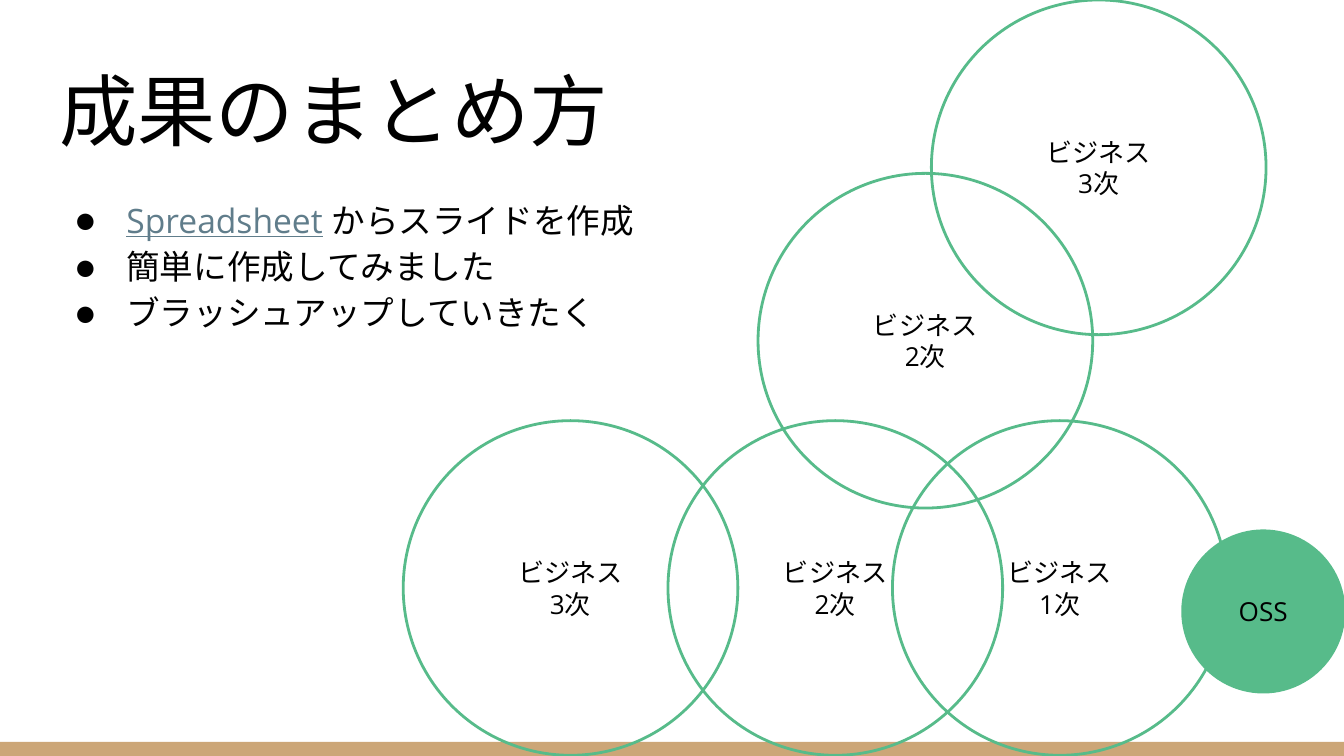
import copy
import dataclasses

import lxml.etree
import pptx
import pptx.dml.color
import pptx.enum.shapes
import pptx.enum.text
import pptx.oxml.ns
import pptx.util

Inches = pptx.util.Inches
Pt = pptx.util.Pt
Shape = pptx.enum.shapes.MSO_SHAPE
Align = pptx.enum.text.PP_ALIGN
Anchor = pptx.enum.text.MSO_ANCHOR
qn = pptx.oxml.ns.qn


@dataclasses.dataclass(frozen=True)
class Theme:
    ink: str = "000000"
    link: str = "607D8B"
    green: str = "57BB8A"
    band: str = "CCA677"
    title_font: str = "Lato"
    body_font: str = "Open Sans"
    bullet_font: str = "Lato"
    title_size: int = 42
    body_size: int = 18
    label_size: int = 14
    outline: float = 1.5


def rgb(value):
    return pptx.dml.color.RGBColor.from_string(value)


def apply(target, formats):
    for name, value in formats.items():
        setattr(target, name, value)


class SlideBuilder:
    def __init__(self, slide, theme):
        self.slide = slide
        self.theme = theme

    def frame(self, shape, anchor):
        """Set the shared insets and wrapping, and return the text frame."""
        margins = dict.fromkeys(
            ("margin_left", "margin_top", "margin_right", "margin_bottom"), Inches(0.1))
        apply(shape.text_frame, {
            **margins, "word_wrap": True, "vertical_anchor": anchor,
            "auto_size": pptx.enum.text.MSO_AUTO_SIZE.NONE})
        return shape.text_frame

    def run(self, paragraph, text, font, size, color=None, underline=False):
        run = paragraph.add_run()
        run.text = text
        apply(run.font, {"name": font, "size": Pt(size), "underline": underline})
        run.font.color.rgb = rgb(color or self.theme.ink)
        east_asian = lxml.etree.Element(qn("a:ea"), typeface=font)
        run.font._element.find(qn("a:latin")).addnext(east_asian)

    def line_break(self, paragraph):
        """Break the line, keeping the format of the run before."""
        properties = copy.deepcopy(paragraph.runs[-1].font._element)
        paragraph.add_line_break()
        paragraph._p.findall(qn("a:br"))[-1].append(properties)

    def place(self, shape, left, top, width, height):
        apply(shape, {"left": Inches(left), "top": Inches(top),
                      "width": Inches(width), "height": Inches(height)})

    def title(self, text, *box):
        title = self.slide.shapes.title
        self.place(title, *box)
        paragraph = self.frame(title, Anchor.BOTTOM).paragraphs[0]
        paragraph.alignment = Align.LEFT
        self.run(paragraph, text, self.theme.title_font, self.theme.title_size)

    def bullet(self, paragraph):
        properties = paragraph._p.get_or_add_pPr()
        properties.set("marL", str(Inches(0.5)))
        properties.set("indent", str(Inches(-0.38)))
        color = lxml.etree.SubElement(properties, qn("a:buClr"))
        lxml.etree.SubElement(color, qn("a:srgbClr"), val=self.theme.ink)
        lxml.etree.SubElement(properties, qn("a:buFont"), typeface=self.theme.bullet_font)
        lxml.etree.SubElement(properties, qn("a:buChar"), char="●")

    def bullets(self, items, *box):
        """Fill the body; each item is a list of (text, is_link) pairs."""
        body = self.slide.placeholders[1]
        self.place(body, *box)
        frame = self.frame(body, Anchor.TOP)
        for index, item in enumerate(items):
            paragraph = frame.add_paragraph() if index else frame.paragraphs[0]
            self.bullet(paragraph)
            apply(paragraph, {"alignment": Align.LEFT, "line_spacing": 1.15,
                              "space_before": Pt(0), "space_after": Pt(0)})
            for text, is_link in item:
                self.run(paragraph, text, self.theme.body_font, self.theme.body_size,
                         self.theme.link if is_link else self.theme.ink, is_link)

    def band(self, left, top, width, height):
        band = self.slide.shapes.add_shape(
            Shape.RECTANGLE, Inches(left), Inches(top), Inches(width), Inches(height))
        band.shadow.inherit = False
        band.fill.solid()
        band.fill.fore_color.rgb = rgb(self.theme.band)
        band.line.fill.background()

    def circle(self, paragraphs, left, top, diameter, filled=False):
        circle = self.slide.shapes.add_shape(
            Shape.OVAL, Inches(left), Inches(top), Inches(diameter), Inches(diameter))
        circle.shadow.inherit = False
        if filled:
            circle.fill.solid()
            circle.fill.fore_color.rgb = rgb(self.theme.green)
        else:
            circle.fill.background()
        circle.line.color.rgb = rgb(self.theme.green)
        circle.line.width = Pt(self.theme.outline)
        frame = self.frame(circle, Anchor.MIDDLE)
        for index, text in enumerate(paragraphs):
            paragraph = frame.add_paragraph() if index else frame.paragraphs[0]
            paragraph.alignment = Align.CENTER
            for line_index, line in enumerate(text.split("\n")):
                if line_index:
                    self.line_break(paragraph)
                self.run(paragraph, line, self.theme.body_font, self.theme.label_size)


def main():
    presentation = pptx.Presentation()
    apply(presentation, {"slide_width": Inches(10), "slide_height": Inches(10 * 9 / 16)})
    slide = presentation.slides.add_slide(presentation.slide_layouts[1])
    builder = SlideBuilder(slide, Theme())

    builder.band(0, 5.52, 10, 0.11)
    builder.title("成果のまとめ方", 0.34, 0.35, 9.32, 0.91)
    builder.bullets([
        [("Spreadsheet", True), (" からスライドを作成", False)],
        [("簡単に作成してみました", False)],
        [("ブラッシュアップしていきたく", False)],
    ], 0.34, 1.34, 9.32, 3.67)

    business_diameter = 2.49
    bottom_row = 3.13
    second_order = ["ビジネス", "2次"]
    third_order = ["ビジネス", "3次"]
    builder.circle(second_order, 4.97, bottom_row, business_diameter)
    builder.circle(["OSS"], 8.8, 3.95, 1.2, filled=True)
    for label, left, top in [
        (["ビジネス\n1次"], 6.64, bottom_row),
        (third_order, 3, bottom_row),
        (second_order, 5.64, 1.29),
        (third_order, 6.93, 0),
    ]:
        builder.circle(label, left, top, business_diameter)

    presentation.save("out.pptx")


if __name__ == "__main__":
    main()
